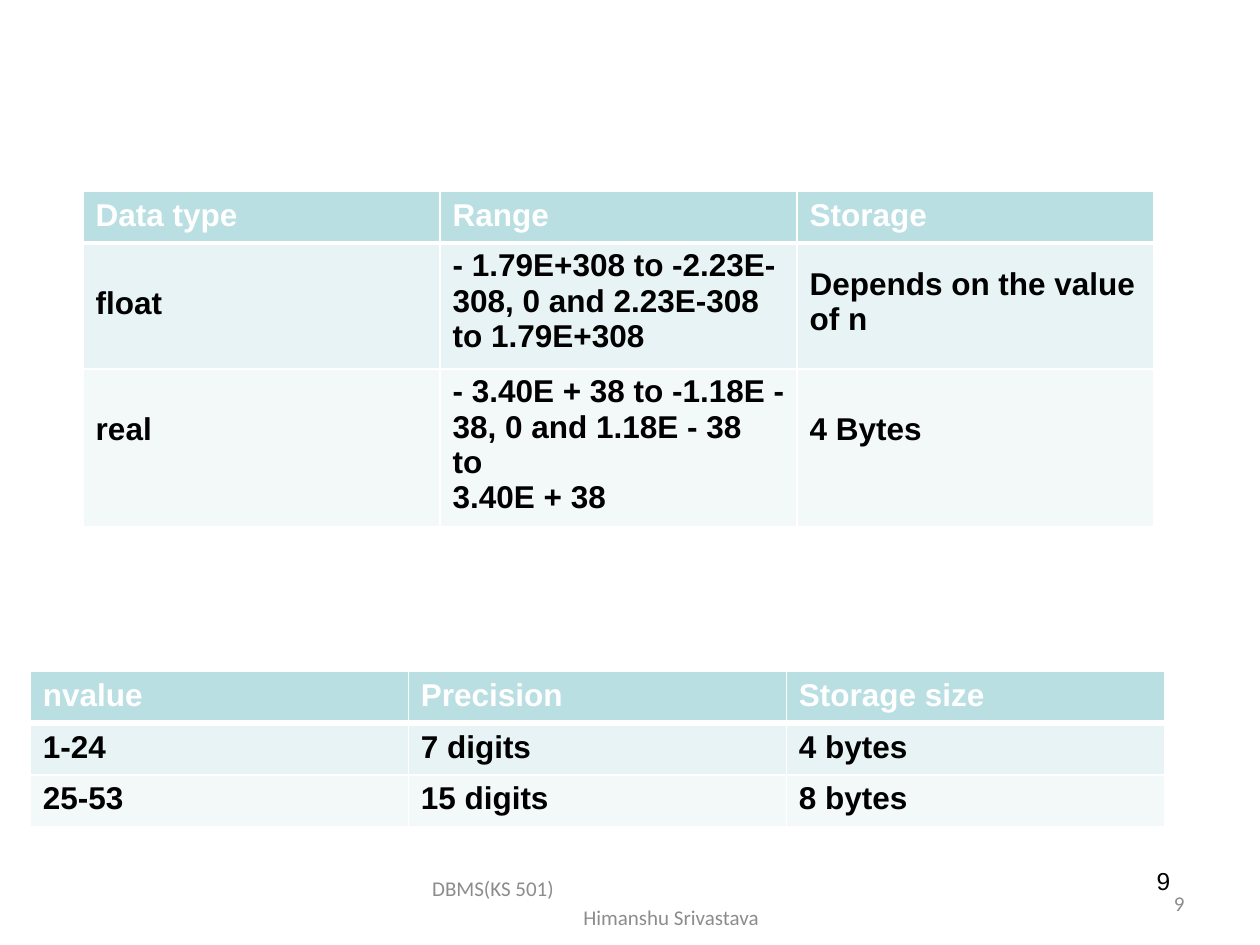
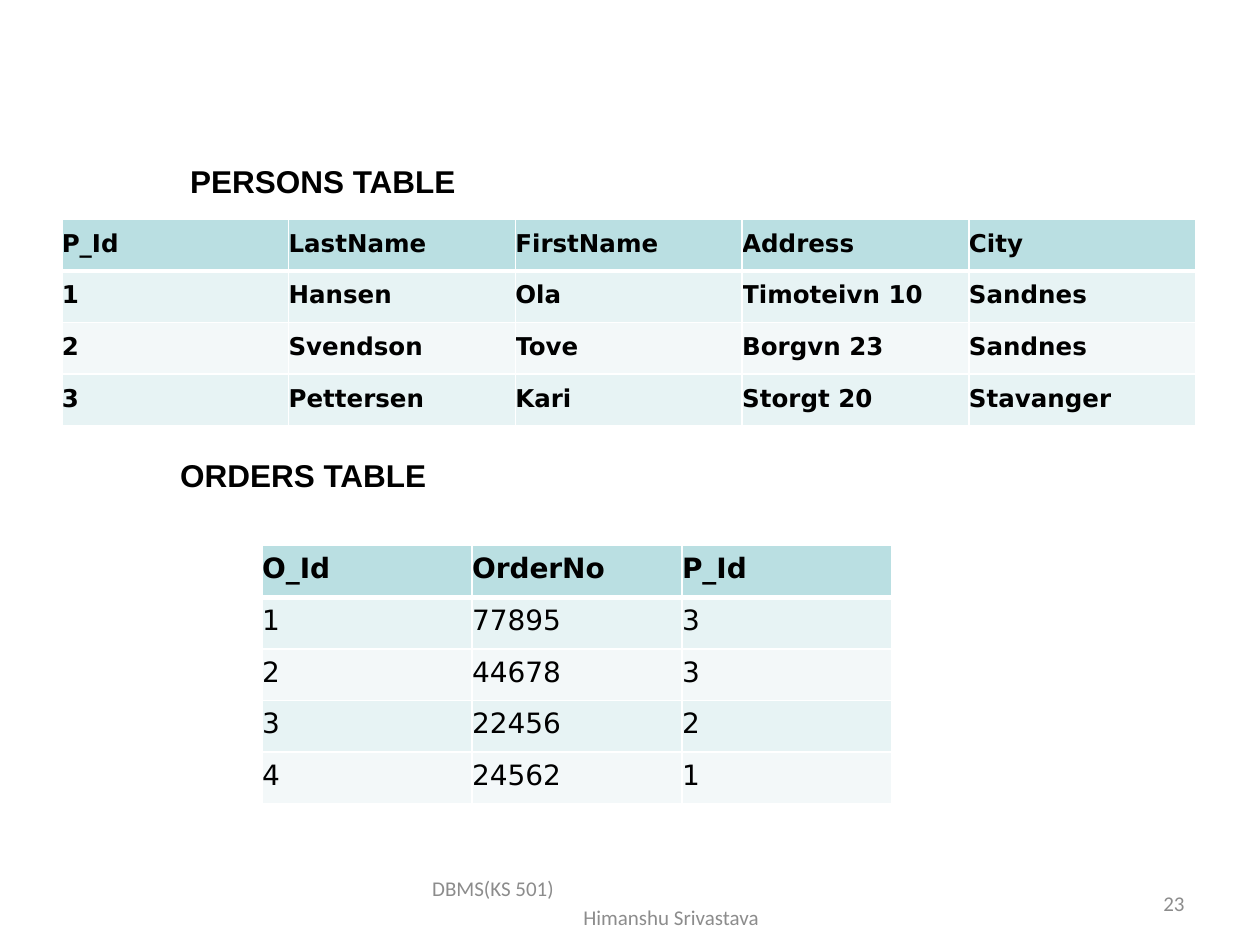
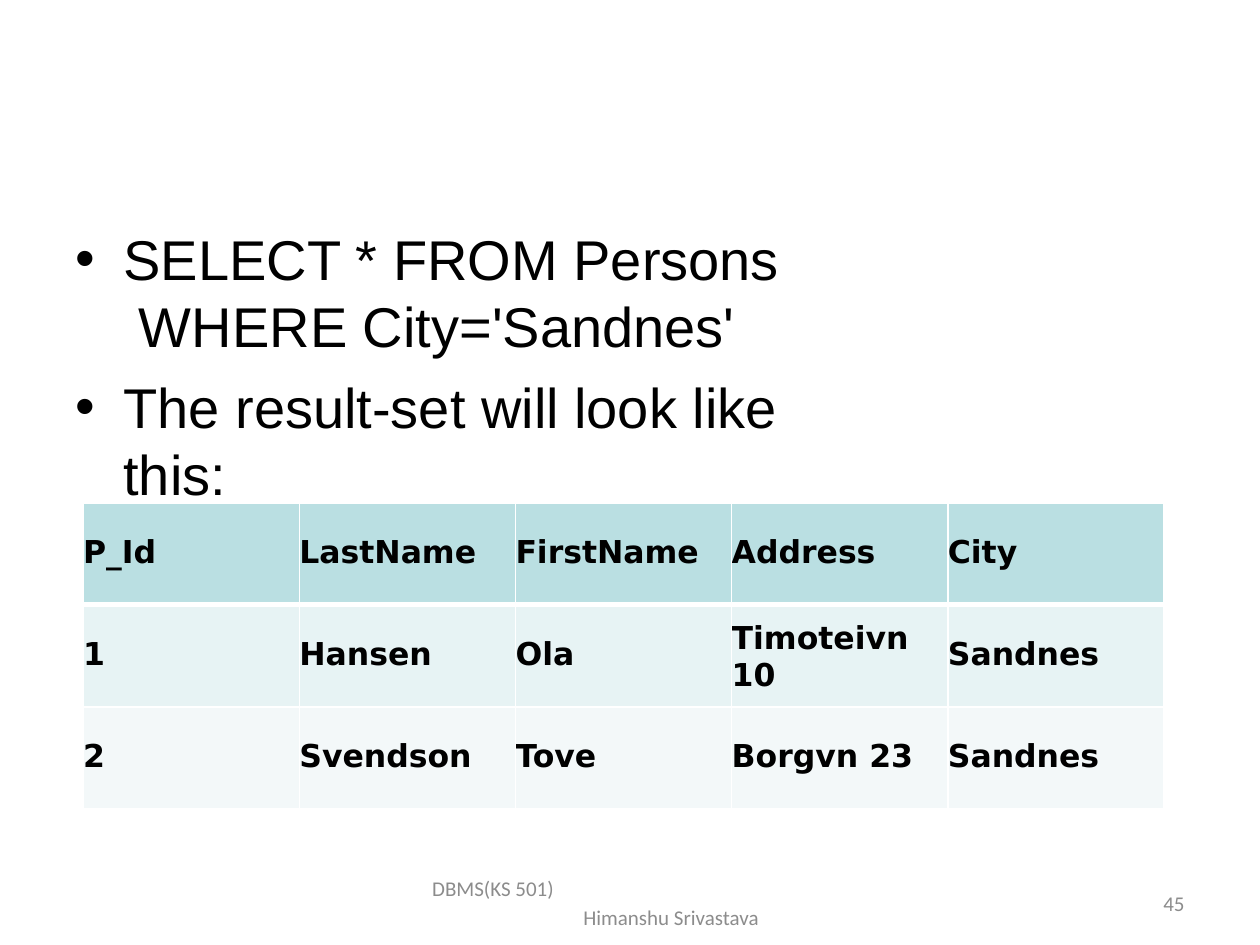
from lxml import etree
from pptx import Presentation
from pptx.dml.color import RGBColor
from pptx.enum.text import MSO_ANCHOR, PP_ALIGN
from pptx.oxml.ns import qn
from pptx.util import Inches, Pt

MIDDLE = MSO_ANCHOR.MIDDLE
LEFT, RIGHT = PP_ALIGN.LEFT, PP_ALIGN.RIGHT

COLORS = {
    "header": "BADFE2",
    "odd": "E7F3F4",
    "even": "F3F8F9",
    "white": "FFFFFF",
    "black": "000000",
    "grey": "8C8C8C",
}

FOOTER_FONT = {"name": "Calibri", "size": Pt(12)}
HEADING_FONT = {"name": "Arial", "size": Pt(18), "bold": True}
BULLET_FONT = {"name": "Arial", "size": Pt(32)}
PAGE_FONT = {"name": "Arial", "size": Pt(14)}
FOOTER_LINE = {"line_spacing": Pt(16.5)}
NO_INSETS = (0, 0, 0, 0)


def set_all(target, values):
    for name, value in values.items():
        setattr(target, name, value)


def set_insets(target, insets):
    sides = ("left", "top", "right", "bottom")
    set_all(target, {f"margin_{side}": Inches(inset) for side, inset in zip(sides, insets)})


def write(para, text, font, color="black"):
    para.text = text
    for span in para.runs:
        set_all(span.font, font)
        span.font.color.rgb = RGBColor.from_string(COLORS[color])


def indent(para, left, first=0):
    properties = para._p.get_or_add_pPr()
    properties.set("marL", str(Inches(left)))
    properties.set("indent", str(Inches(first)))
    return properties


def add_text_box(page, box, insets=NO_INSETS, anchor=None):
    frame = page.shapes.add_textbox(*map(Inches, box)).text_frame
    frame.word_wrap = True
    set_insets(frame, insets)
    if anchor is not None:
        frame.vertical_anchor = anchor
    return frame


def add_border(cell, side, width):
    line = etree.SubElement(cell._tc.get_or_add_tcPr(), qn(f"a:ln{side}"), w=str(Pt(width)))
    fill = etree.SubElement(line, qn("a:solidFill"))
    etree.SubElement(fill, qn("a:srgbClr"), val=COLORS["white"])


def add_data_table(page, box, rows, font, inset_top, heights, header_font=None,
                   header_color="black", header_rule=3, inset_left=0,
                   cell_tops=None, cell_spacing=None):
    left, top, width, height = box
    count = len(rows[0])
    table = page.shapes.add_table(len(rows), count, *map(Inches, box)).table
    set_all(table, {"first_row": False, "horz_banding": False})
    for column in table.columns:
        column.width = Inches(width / count)
    for r, values in enumerate(rows):
        table.rows[r].height = Inches(heights[r])
        band = "header" if r == 0 else "odd" if r % 2 else "even"
        rules = {"L": 1, "R": 1,
                 "T": header_rule if r == 1 else 1,
                 "B": header_rule if r == 0 else 1}
        for c, value in enumerate(values):
            cell = table.cell(r, c)
            cell_top = (cell_tops or {}).get((r, c), inset_top)
            set_insets(cell, (inset_left, cell_top, 0, 0))
            for side, rule in rules.items():
                add_border(cell, side, rule)
            cell.fill.solid()
            cell.fill.fore_color.rgb = RGBColor.from_string(COLORS[band])
            para = cell.text_frame.paragraphs[0]
            if cell_spacing and (r, c) in cell_spacing:
                para.line_spacing = Pt(cell_spacing[r, c])
            if r == 0:
                write(para, value, header_font or font, header_color)
            else:
                write(para, value, font)


def add_footer(page, number):
    course = add_text_box(page, (3.42, 6.95, 3.17, 0.4), anchor=MIDDLE)
    for i, (text, left) in enumerate((("DBMS(KS 501)", 0.01), ("Himanshu Srivastava", 1.21))):
        para = course.add_paragraph() if i else course.paragraphs[0]
        indent(para, left)
        set_all(para, {"alignment": LEFT, **FOOTER_LINE})
        write(para, text, FOOTER_FONT, "grey")
    frame = add_text_box(page, (7.17, 6.95, 2.33, 0.4), (0.1, 0.05, 0.1, 0.05), MIDDLE)
    para = frame.paragraphs[0]
    set_all(para, {"alignment": RIGHT, **FOOTER_LINE})
    write(para, number, FOOTER_FONT, "grey")


def add_heading(page, box, text):
    frame = add_text_box(page, box, (0.01, 0.01, 0, 0))
    write(frame.paragraphs[0], text, HEADING_FONT)


def add_bullets(page, box, items):
    frame = add_text_box(page, box, (0, 0.01, 0, 0))
    for i, text in enumerate(items):
        para = frame.add_paragraph() if i else frame.paragraphs[0]
        if i:
            para.space_before = Pt(7.7)
        properties = indent(para, 0.39, -0.38)
        etree.SubElement(properties, qn("a:buFont"), typeface="Arial")
        etree.SubElement(properties, qn("a:buChar"), char="•")
        write(para, text, BULLET_FONT)


def build_number_types(page):
    style = {"font": HEADING_FONT, "inset_top": 0.05, "inset_left": 0.1, "header_color": "white"}
    precision = [
        ("nvalue", "Precision", "Storage size"),
        ("1-24", "7 digits", "4 bytes"),
        ("25-53", "15 digits", "8 bytes"),
    ]
    add_data_table(page, (0.24, 5.33, 9, 1.22), precision,
                   heights=[0.41] * 3, header_rule=4.25, **style)
    ranges = [
        ("Data type", "Range", "Storage"),
        ("float", "- 1.79E+308 to -2.23E- 308, 0 and 2.23E-308 to 1.79E+308",
         "Depends on the value of n"),
        ("real", "- 3.40E + 38 to -1.18E - 38, 0 and 1.18E - 38\vto\v3.40E + 38", "4 Bytes"),
    ]
    tops = {(1, 0): 0.34, (1, 1): 0.04, (1, 2): 0.19,
            (2, 0): 0.34, (2, 1): 0.04, (2, 2): 0.34}
    add_data_table(page, (0.66, 1.52, 8.5, 2.66), ranges,
                   heights=[0.41, 1, 1.25], cell_tops=tops, **style)
    frame = add_text_box(page, (9.14, 6.88, 0.3, 0.25), (0.04, 0, 0, 0))
    set_all(frame.paragraphs[0], FOOTER_LINE)
    write(frame.paragraphs[0], "9", PAGE_FONT)


PERSONS = [
    ("P_Id", "LastName", "FirstName", "Address", "City"),
    ("1", "Hansen", "Ola", "Timoteivn 10", "Sandnes"),
    ("2", "Svendson", "Tove", "Borgvn 23", "Sandnes"),
    ("3", "Pettersen", "Kari", "Storgt 20", "Stavanger"),
]
ORDERS = [
    ("O_Id", "OrderNo", "P_Id"),
    ("1", "77895", "3"),
    ("2", "44678", "3"),
    ("3", "22456", "2"),
    ("4", "24562", "1"),
]


def build_source_tables(page):
    add_heading(page, (1.5, 1.28, 2.13, 0.33), "PERSONS TABLE")
    add_data_table(page, (0.49, 1.74, 9, 1.62), PERSONS,
                   {"name": "DejaVu Sans", "size": Pt(14), "bold": True},
                   inset_top=0.08, heights=[0.41] * 4)
    add_heading(page, (1.42, 3.61, 1.97, 0.33), "ORDERS TABLE")
    order_font = {"name": "DejaVu Sans", "size": Pt(16), "bold": False}
    add_data_table(page, (2.08, 4.33, 5, 2.03), ORDERS, order_font,
                   inset_top=0.06, heights=[0.41] * 5,
                   header_font={**order_font, "bold": True})


def build_query_result(page):
    add_bullets(page, (0.59, 1.77, 6.53, 1.74), [
        "SELECT * FROM Persons\v WHERE City='Sandnes'",
        "The result-set will look like\vthis:",
    ])
    add_data_table(page, (0.66, 3.99, 8.58, 2.42), PERSONS[:3],
                   {"name": "DejaVu Sans", "size": Pt(18), "bold": True},
                   inset_top=0.25, heights=[0.81] * 3,
                   cell_tops={(1, 3): 0.12}, cell_spacing={(1, 3): 21.2})


def main():
    deck = Presentation()
    set_all(deck, {"slide_width": Inches(10), "slide_height": Inches(7.5)})
    pages = ((build_number_types, "9"), (build_source_tables, "23"), (build_query_result, "45"))
    for build, number in pages:
        page = deck.slides.add_slide(deck.slide_layouts[6])
        build(page)
        add_footer(page, number)
    deck.save("out.pptx")


if __name__ == "__main__":
    main()
